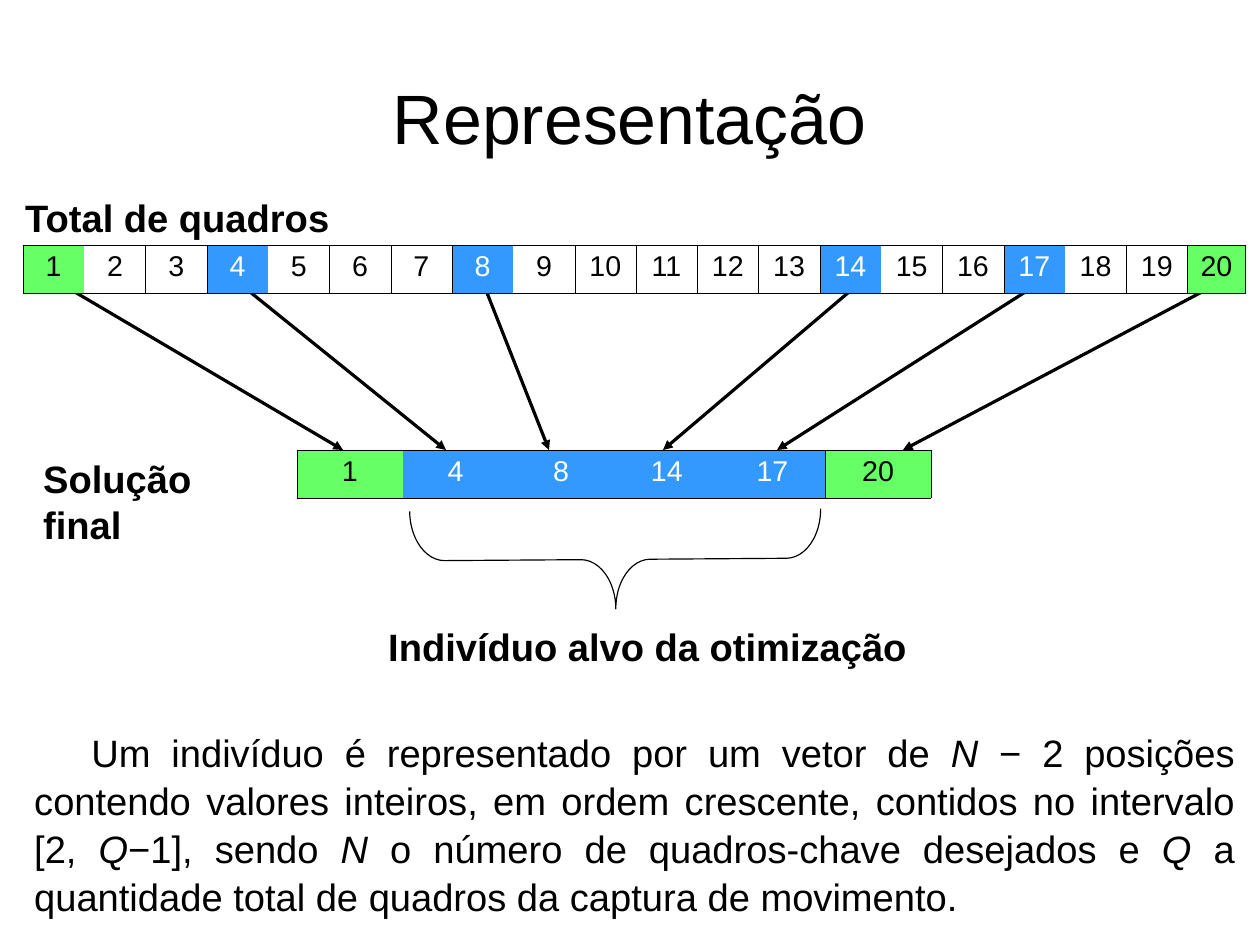
"""Build the slide on how key frames are represented as a vector."""
from lxml.etree import SubElement
from pptx import Presentation
from pptx.dml.color import RGBColor
from pptx.enum.shapes import MSO_CONNECTOR as Connector, MSO_SHAPE as Shape
from pptx.enum.text import MSO_ANCHOR as Anchor, PP_ALIGN as Align
from pptx.oxml import parse_xml
from pptx.oxml.ns import nsdecls, qn
from pptx.util import Pt

PX = 8000
COLORS = {"black": "000000", "white": "FFFFFF", "green": "66FF66", "blue": "3399FF"}
BORDER = 762


def color(name):
    return RGBColor.from_string(COLORS[name])


def add_span(para, text, size, ink="black", bold=False, italic=False):
    span = para.add_run()
    span.text = text
    span.font.name = "Arial"
    span.font.size = Pt(size)
    span.font.bold = bold
    span.font.italic = italic
    span.font.color.rgb = color(ink)


deck = Presentation()
deck.slide_width, deck.slide_height = 1260 * PX, 945 * PX
page = deck.slides.add_slide(deck.slide_layouts[6])

arrows = [(46, 343), (229, 446), (480, 549), (869, 663), (1052, 777), (1234, 903)]
for start, end in arrows:
    arrow = page.shapes.add_connector(
        Connector.STRAIGHT, start * PX, 275 * PX, end * PX, 450 * PX)
    arrow.line.color.rgb = color("black")
    arrow.line.width = 0
    SubElement(arrow.line._get_or_add_ln(), qn("a:tailEnd"), type="triangle")
    SubElement(arrow._element.spPr, qn("a:effectLst"))

ends, chosen = [1, 20], [4, 8, 14, 17]
tables = [
    (23, 245, 1223, 1165 * PX // 19, list(range(1, 21))),
    (297, 450, 634, 634 * PX // 6, [1, *chosen, 20]),
]
for left, top, width, step, frames in tables:
    grid = page.shapes.add_table(
        1, len(frames), left * PX, top * PX, width * PX, 48 * PX).table
    grid.first_row = grid.horz_banding = False
    last = len(frames) - 1
    for index, frame in enumerate(frames):
        grid.columns[index].width = step if index < last else width * PX - last * step
        cell = grid.cell(0, index)
        fill = "green" if frame in ends else "blue" if frame in chosen else "white"
        cell.fill.solid()
        cell.fill.fore_color.rgb = color(fill)
        para = cell.text_frame.paragraphs[0]
        para.alignment = Align.CENTER
        add_span(para, str(frame), 18, "white" if fill == "blue" else "black")

        after_plain = index == 0 or frames[index - 1] not in ends + chosen
        edges = {
            "L": after_plain or index == last,
            "R": fill == "white" or index >= last - 1,
            "T": True,
            "B": True,
        }
        for place, (side, drawn) in enumerate(edges.items()):
            paint = (f'<a:solidFill><a:srgbClr val="{COLORS["black"]}"/></a:solidFill>'
                     if drawn else "<a:noFill/>")
            cell._tc.get_or_add_tcPr().insert(place, parse_xml(
                f'<a:ln{side} {nsdecls("a")} w="{BORDER}">{paint}</a:ln{side}>'))

brace = page.shapes.add_shape(Shape.RIGHT_BRACE, 566 * PX, 354 * PX, 99 * PX, 411 * PX)
brace.rotation = 89.6
brace.adjustments[0] = 0.35
brace.shadow.inherit = False
brace.fill.background()
brace.line.color.rgb = color("black")
brace.line.width = 0

title = page.shapes.add_textbox(63 * PX, 38 * PX, 1134 * PX, 158 * PX).text_frame
title.word_wrap = True
title.vertical_anchor = Anchor.MIDDLE
title.margin_left = title.margin_right = title.margin_top = title.margin_bottom = 0
title.paragraphs[0].alignment = Align.CENTER
add_span(title.paragraphs[0], "Representação", 44)

labels = [
    ("Total de quadros", 14, 189, 327),
    ("Solução final", 32, 450, 259),
    ("Indivíduo alvo da otimização", 377, 618, 542),
]
for text, left, top, width in labels:
    box = page.shapes.add_textbox(left * PX, top * PX, width * PX, 54 * PX)
    box.text_frame.word_wrap = False
    add_span(box.text_frame.paragraphs[0], text, 24, bold=True)

body = page.shapes.add_textbox(23 * PX, 722 * PX, 1223 * PX, 206 * PX).text_frame
body.word_wrap = True
para = body.paragraphs[0]
para.alignment = Align.JUSTIFY
para.line_spacing = 1.05
sentence = [
    "\tUm indivíduo é representado por um vetor de ", "N",
    " − 2 posições contendo valores inteiros, em ordem crescente, "
    "contidos no intervalo [2, ", "Q",
    "−1], sendo ", "N",
    " o número de quadros-chave desejados e ", "Q",
    " a quantidade total de quadros da captura de movimento.",
]
for text in sentence:
    add_span(para, text, 24, italic=text in ("N", "Q"))

deck.save("out.pptx")
